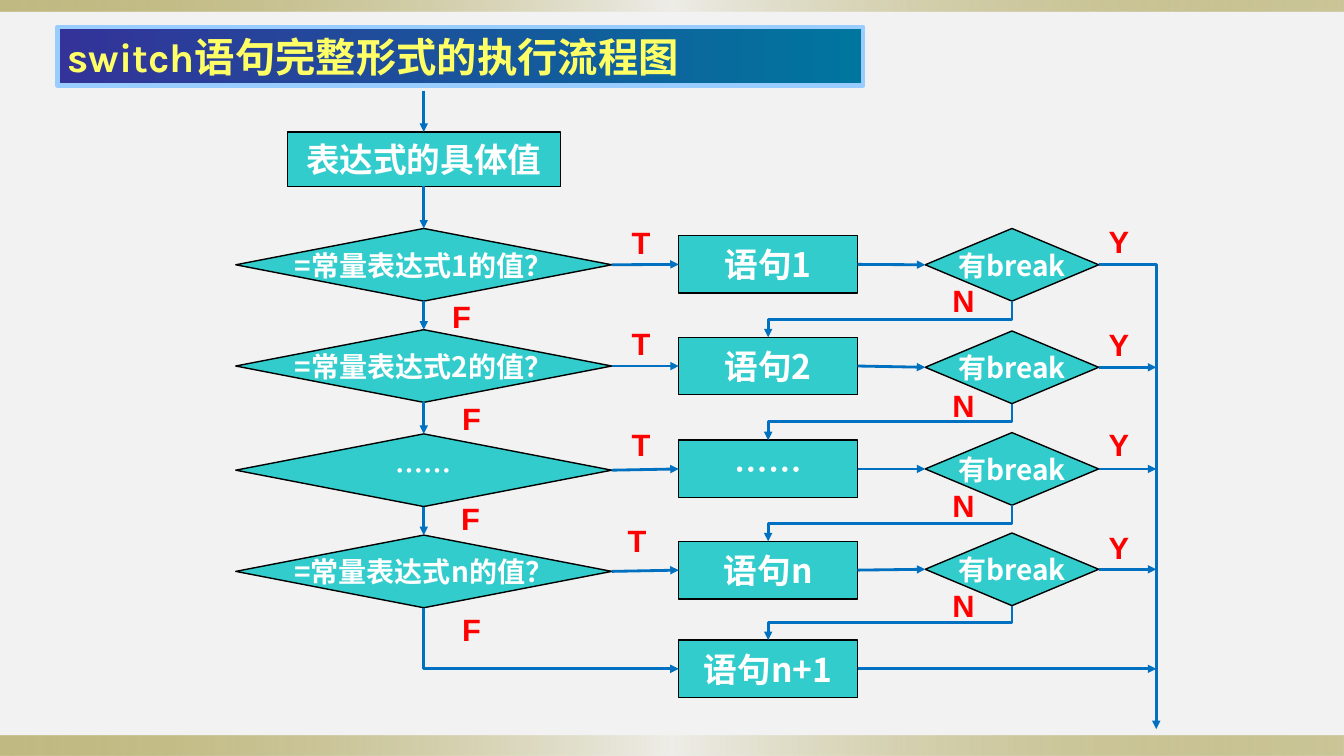
from lxml.etree import SubElement
from pptx import Presentation
from pptx.dml.color import RGBColor
from pptx.enum.shapes import MSO_CONNECTOR as Connector, MSO_SHAPE as Shape
from pptx.enum.text import MSO_ANCHOR as Anchor, PP_ALIGN as Align
from pptx.oxml.ns import qn
from pptx.util import Inches, Pt

COLORS = {"background": "F2F2F2", "band": "918415", "band_light": "EEEDE8",
          "title_start": "333399", "title_end": "00759E", "title_line": "99CCFF",
          "title_text": "FFFF66", "node": "33CCCC", "outline": "000000",
          "node_text": "FFFFFF", "arrow": "0070C0", "label": "FF0000"}
CJK_FONT = "Noto Sans CJK SC"
COLUMNS, ROWS = 160, 90
TOP, LEFT, BOTTOM, RIGHT = range(4)


class FlowSlide:
    """Draws flowchart elements on one slide, measured in grid columns and rows."""

    def __init__(self, presentation):
        self.column = presentation.slide_width / COLUMNS
        self.row = presentation.slide_height / ROWS
        self.slide = presentation.slides.add_slide(presentation.slide_layouts[6])
        background = self.slide.background.fill
        background.solid()
        background.fore_color.rgb = self.color("background")

    def color(self, name):
        return RGBColor.from_string(COLORS[name])

    def place(self, *lengths):
        units = (self.column, self.row) * 2
        return [round(length * unit) for length, unit in zip(lengths, units)]

    def set_text(self, shape, text, size, color, font=CJK_FONT, align=Align.CENTER):
        shape.text_frame.text = text
        paragraph = shape.text_frame.paragraphs[0]
        paragraph.alignment = align
        for run in paragraph.runs:
            run.font.size, run.font.bold, run.font.name = Pt(size), True, font
            run.font.color.rgb = self.color(color)
            SubElement(run.font._element, qn("a:ea")).set("typeface", CJK_FONT)

    def gradient_bar(self, box, stops):
        shape = self.slide.shapes.add_shape(Shape.RECTANGLE, *self.place(*box))
        shape.shadow.inherit = False
        shape.line.fill.background()
        shape.fill.gradient()
        shape.fill.gradient_angle = 0
        stop_list = next(shape._element.iter(qn("a:gsLst")))
        stop_list.clear()
        for position, color, opacity in stops:
            stop = SubElement(stop_list, qn("a:gs"), pos=str(position * 1000))
            value = SubElement(stop, qn("a:srgbClr"), val=COLORS[color])
            SubElement(value, qn("a:alpha"), val=str(opacity * 1000))
        return shape

    def title(self, box, text):
        stops = [(0, "title_start", 100), (100, "title_end", 100)]
        shape = self.gradient_bar(box, stops)
        shape.line.color.rgb = self.color("title_line")
        shape.line.width = Pt(3)
        shape.text_frame.vertical_anchor = Anchor.MIDDLE
        self.set_text(shape, text, 28.8, "title_text", "Karla", Align.LEFT)

    def node(self, kind, box, text, size, font=CJK_FONT):
        shape = self.slide.shapes.add_shape(kind, *self.place(*box))
        shape.shadow.inherit = False
        shape.fill.solid()
        shape.fill.fore_color.rgb = self.color("node")
        shape.line.color.rgb = self.color("outline")
        shape.line.width = Pt(1)
        frame = shape.text_frame
        frame.word_wrap, frame.vertical_anchor = False, Anchor.MIDDLE
        frame.margin_left = frame.margin_right = 0
        frame.margin_top = frame.margin_bottom = 0
        self.set_text(shape, text, size, "node_text", font)
        return shape

    def process(self, box, text, font=CJK_FONT):
        return self.node(Shape.FLOWCHART_PROCESS, box, text, 24, font)

    def decision(self, box, text):
        return self.node(Shape.FLOWCHART_DECISION, box, text, 20)

    def label(self, left, top, text):
        box = self.slide.shapes.add_textbox(*self.place(left, top, 9.1, 5.64))
        box.text_frame.word_wrap = True
        box.text_frame.margin_left = box.text_frame.margin_right = 0
        self.set_text(box, text, 22, "label", "Arial")

    def arrow(self, start, end, start_side=None, end_side=None, bend=None, turned=False):
        begin_point = self.place(*start) if start_side is None else (0, 0)
        end_point = self.place(*end) if end_side is None else (0, 0)
        kind = Connector.ELBOW if bend else Connector.STRAIGHT
        connector = self.slide.shapes.add_connector(kind, *begin_point, *end_point)
        if start_side is not None:
            connector.begin_connect(start, start_side)
        if end_side is not None:
            connector.end_connect(end, end_side)
        properties = connector._element.spPr
        if bend:
            properties.find(qn("a:prstGeom")).set("prst", bend)
        if turned:
            self.turn(connector)
        connector.line.color.rgb = self.color("arrow")
        connector.line.width = Pt(2)
        SubElement(connector.line._get_or_add_ln(), qn("a:tailEnd"), type="triangle")
        SubElement(properties, qn("a:effectLst"))

    def turn(self, connector):
        width, height = connector.width, connector.height
        connector.left += (width - height) // 2
        connector.top += (height - width) // 2
        connector.width, connector.height = height, width
        transform = connector._element.spPr.find(qn("a:xfrm"))
        transform.flipV, transform.flipH = not transform.flipH, False
        transform.rot = 90


def main():
    presentation = Presentation()
    presentation.slide_width, presentation.slide_height = Inches(13.33), Inches(7.5)
    chart = FlowSlide(presentation)

    band = [(0, "band", 50), (50, "band_light", 100), (100, "band", 40)]
    for top, height in [(87.6, 2.4), (0, 1.4)]:
        chart.gradient_bar((0, top, COLUMNS, height), band)
    chart.title((6.85, 3.2, 95.9, 7), "switch语句完整形式的执行流程图")

    center, exit_column = 50.45, 137.65
    value = chart.process((34.2, 15.7, 32.5, 6.5), "表达式的具体值", "DejaVu Sans")
    chart.arrow((center, 10.8), value, end_side=TOP)

    statements = [chart.process((80.8, top, 21.3, 6.85), text) for top, text in [
        (28.05, "语句1"), (40.15, "语句2"), (52.4, "……"), (64.45, "语句n"),
        (76.2, "语句n+1")]]
    cases = [chart.decision((28.07, top, 44.76, 8.65), text) for top, text in [
        (27.2, "=常量表达式1的值？"), (39.25, "=常量表达式2的值？"),
        (51.65, "……"), (63.7, "=常量表达式n的值？")]]
    breaks = [chart.decision((110.15, top, 20.65, 8.65), "有break")
              for top in (27.2, 39.4, 51.5, 63.45)]

    for previous, case in zip([value] + cases, cases):
        chart.arrow(previous, case, BOTTOM, TOP)
    chart.arrow(cases[-1], statements[-1], BOTTOM, LEFT, "bentConnector2", True)

    for case, statement, check, following in zip(cases, statements, breaks, statements[1:]):
        chart.arrow(case, statement, RIGHT, LEFT)
        chart.arrow(statement, check, RIGHT, LEFT)
        chart.arrow(check, following, BOTTOM, TOP, "bentConnector3", True)

    chart.arrow(breaks[0], (exit_column, 86.8), RIGHT, bend="bentConnector2")
    for shape in breaks[1:] + statements[-1:]:
        middle = (shape.top + shape.height / 2) / chart.row
        chart.arrow(shape, (exit_column, middle), RIGHT)

    labels = {
        "T": [(71.75, 26.05), (71.75, 38.05), (71.75, 50.15), (71.3, 61.55)],
        "F": [(50.4, 34.8), (51.6, 47.05), (51.45, 58.9), (51.6, 72.1)],
        "N": [(110.15, top) for top in (33, 45.5, 57.35, 69.25)],
        "Y": [(128.65, top) for top in (25.9, 38.15, 50.15, 62.4)]}
    for text, places in labels.items():
        for left, top in places:
            chart.label(left, top, text)

    presentation.save("out.pptx")


if __name__ == "__main__":
    main()
